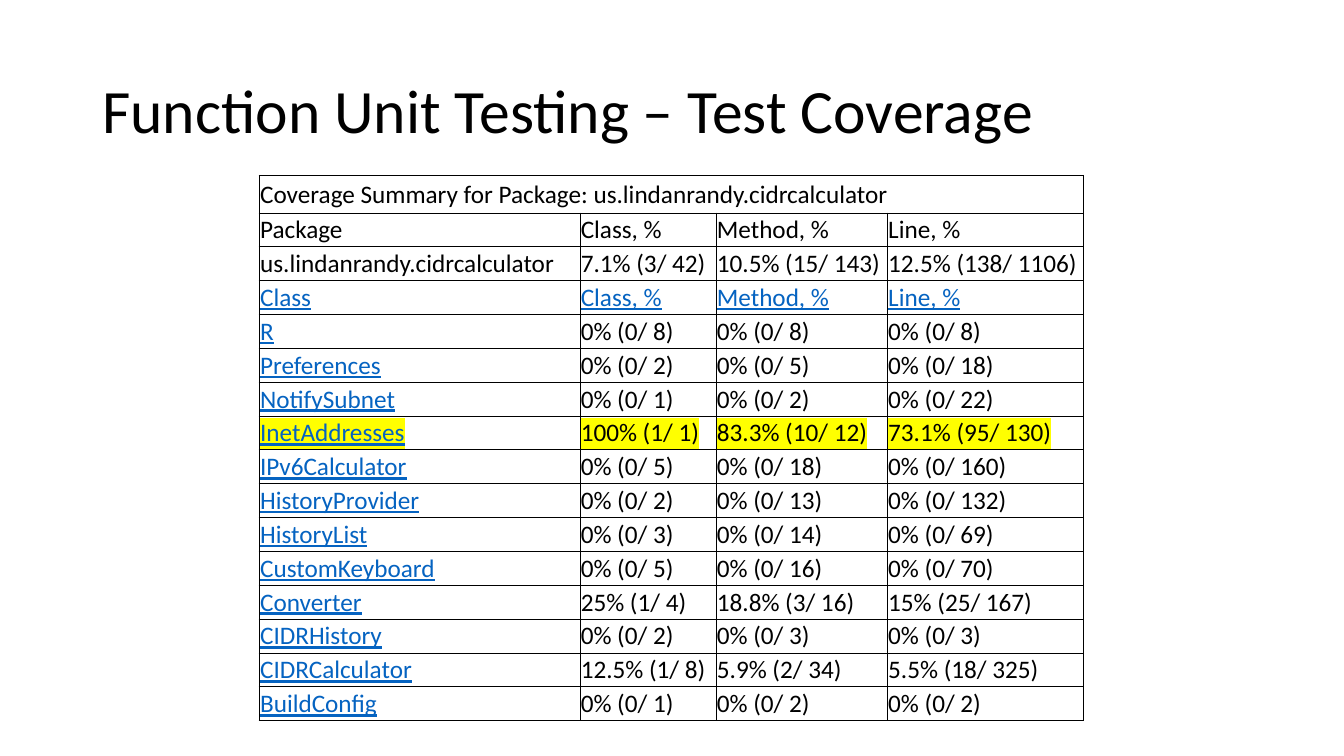
from dataclasses import dataclass

from lxml.etree import SubElement
from pptx import Presentation
from pptx.dml.color import RGBColor
from pptx.enum.text import MSO_VERTICAL_ANCHOR as Anchor
from pptx.oxml.ns import qn
from pptx.util import Emu, Inches, Pt

COLORS = {"ink": "000000", "link": "0563C1", "mark": "FFFF00"}
FONT = "Calibri"
SLIDE_WIDTH, SLIDE_HEIGHT = Inches(13.33), Inches(7.5)

# Shares of the slide in percent
TITLE_AREA = (6.88, 5.33, 86.27, 19.33)
TABLE_AREA = (19.28, 23.2, 61.37, 72.13)
COLUMN_SHARES = (23.86, 10.13, 12.75, 14.63)
CAPTION_SHARE = 4.93
OUTER_LINE, INNER_LINE = 1, 0.25

PACKAGE = "us.lindanrandy.cidrcalculator"
MEASURES = ("Class, %", "Method, %", "Line, %")


@dataclass(frozen=True)
class Coverage:
    """Covered and total counts of classes, methods and lines."""
    name: str
    classes: tuple[int, int]
    methods: tuple[int, int]
    lines: tuple[int, int]
    marked: bool = False

    def texts(self) -> tuple[str, ...]:
        counts = (self.classes, self.methods, self.lines)
        return (self.name, *(ratio(*count) for count in counts))


@dataclass(frozen=True)
class TableRow:
    texts: tuple[str, ...]
    linked: int = 0  # leading cells that look like links
    marked: bool = False


SUMMARY = Coverage(PACKAGE, (3, 42), (15, 143), (138, 1106))
CLASSES = (
    Coverage("R", (0, 8), (0, 8), (0, 8)),
    Coverage("Preferences", (0, 2), (0, 5), (0, 18)),
    Coverage("NotifySubnet", (0, 1), (0, 2), (0, 22)),
    Coverage("InetAddresses", (1, 1), (10, 12), (95, 130), marked=True),
    Coverage("IPv6Calculator", (0, 5), (0, 18), (0, 160)),
    Coverage("HistoryProvider", (0, 2), (0, 13), (0, 132)),
    Coverage("HistoryList", (0, 3), (0, 14), (0, 69)),
    Coverage("CustomKeyboard", (0, 5), (0, 16), (0, 70)),
    Coverage("Converter", (1, 4), (3, 16), (25, 167)),
    Coverage("CIDRHistory", (0, 2), (0, 3), (0, 3)),
    Coverage("CIDRCalculator", (1, 8), (2, 34), (18, 325)),
    Coverage("BuildConfig", (0, 1), (0, 2), (0, 2)),
)


def ratio(covered: int, total: int) -> str:
    percent = f"{100 * covered / total:.1f}".removesuffix(".0")
    return f"{percent}% ({covered}/ {total})"


def across(percent: float) -> Emu:
    return Emu(round(SLIDE_WIDTH * percent / 100))


def down(percent: float) -> Emu:
    return Emu(round(SLIDE_HEIGHT * percent / 100))


def place(area: tuple) -> tuple:
    left, top, width, height = area
    return across(left), down(top), across(width), down(height)


def write(frame, text: str, *, size: float, color: str = "ink",
          underline: bool = False, marked: bool = False,
          spacing: float = 1.0) -> None:
    para = frame.paragraphs[0]
    para.line_spacing = spacing
    span = para.add_run()
    span.text = text
    span.font.size = Pt(size)
    span.font.name = FONT
    span.font.underline = underline
    span.font.color.rgb = RGBColor.from_string(COLORS[color])
    if marked:
        props = span.font._element
        highlight = SubElement(props, qn("a:highlight"))
        SubElement(highlight, qn("a:srgbClr"), val=COLORS["mark"])
        props.find(qn("a:solidFill")).addnext(highlight)


def draw_borders(cell, weights: dict[str, float]) -> None:
    props = cell._tc.get_or_add_tcPr()
    for side, weight in weights.items():
        line = SubElement(props, qn(f"a:ln{side}"), w=str(Pt(weight)))
        fill = SubElement(line, qn("a:solidFill"))
        SubElement(fill, qn("a:srgbClr"), val=COLORS["ink"])


def add_title(page, text: str) -> None:
    box = page.shapes.add_textbox(*place(TITLE_AREA))
    box.text_frame.word_wrap = True
    box.text_frame.vertical_anchor = Anchor.MIDDLE
    write(box.text_frame, text, size=44, spacing=0.9)


def add_coverage_table(page, rows: list[TableRow]) -> None:
    last_row, width = len(rows) - 1, len(COLUMN_SHARES)
    table = page.shapes.add_table(len(rows), width, *place(TABLE_AREA)).table
    table.first_row = table.horz_banding = False

    # Grid: a taller caption row, the rest equal
    for column, share in zip(table.columns, COLUMN_SHARES):
        column.width = across(share)
    body_share = (TABLE_AREA[3] - CAPTION_SHARE) / last_row
    for index, row in enumerate(table.rows):
        row.height = down(body_share if index else CAPTION_SHARE)
    table.cell(0, 0).merge(table.cell(0, width - 1))

    # Cells: heavier lines on the outer edge
    for r, row in enumerate(rows):
        for c, text in enumerate(row.texts):
            cell = table.cell(r, c)
            edges = {"L": c == 0, "R": c == len(row.texts) - 1,
                     "T": r == 0, "B": r == last_row}
            draw_borders(cell, {side: OUTER_LINE if outer else INNER_LINE
                                for side, outer in edges.items()})
            cell.fill.background()
            cell.vertical_anchor = Anchor.MIDDLE
            cell.margin_left = cell.margin_right = Inches(0.01)
            cell.margin_top, cell.margin_bottom = Inches(0.01), 0
            linked = c < row.linked
            write(cell.text_frame, text, size=18, underline=linked,
                  color="link" if linked else "ink", marked=row.marked)


def main() -> None:
    deck = Presentation()
    deck.slide_width, deck.slide_height = SLIDE_WIDTH, SLIDE_HEIGHT
    page = deck.slides.add_slide(deck.slide_layouts[6])

    add_title(page, "Function Unit Testing – Test Coverage")
    add_coverage_table(page, [
        TableRow((f"Coverage Summary for Package: {PACKAGE}",)),
        TableRow(("Package", *MEASURES)),
        TableRow(SUMMARY.texts()),
        TableRow(("Class", *MEASURES), linked=4),
        *(TableRow(entry.texts(), linked=1, marked=entry.marked)
          for entry in CLASSES),
    ])
    deck.save("out.pptx")


if __name__ == "__main__":
    main()
